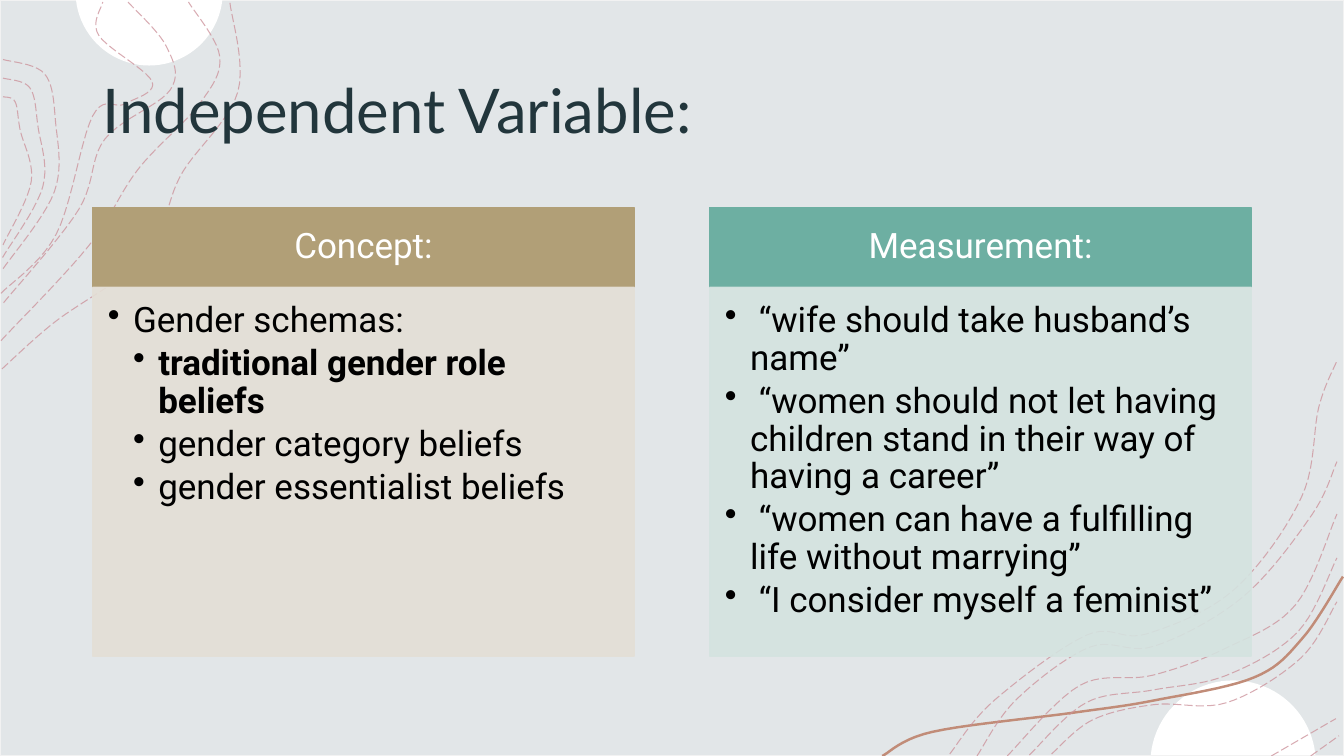
import math

from lxml import etree
from pptx import Presentation
from pptx import util as u
from pptx.dml.color import RGBColor
from pptx.enum import dml, shapes, text
from pptx.oxml.ns import qn

WIDTH, HEIGHT = 13.33, 7.5
PANEL_WIDTH, PANEL_STEP = 5.37, 6.12

# Single contour lines, as the points they pass through
CONTOURS = [
    [(0.02, 3.66), (0.55, 3.19), (1.27, 2.69), (1.6, 2.23), (1.81, 1.71),
     (2.36, 0.91), (2.28, 0.02)],
    [(0.01, 3.38), (0.88, 2.44), (1.37, 1.68), (1.98, 1.03), (2.18, 0.56), (1.87, 0.02)],
    [(1.27, 0.02), (1.65, 0.46), (1.69, 0.89), (1.04, 1.38), (0.78, 2.08), (0.03, 3.01)],
    [(0.01, 2.91), (0.56, 2.32), (0.92, 1.15), (1.24, 1.03), (1.51, 0.81),
     (0.98, 0.35), (1.02, 0.02)],
    [(9.42, 7.48), (9.86, 6.95), (10.78, 6.3), (11.37, 6.29), (12.24, 5.85),
     (12.91, 4.93), (13.08, 4.04), (13.26, 3.58)],
    [(9.69, 7.5), (10.08, 6.94), (10.81, 6.42), (11.45, 6.41), (12.33, 5.92),
     (13.01, 5.11), (13.26, 4.58)],
    [(12.61, 7.5), (13.25, 7.13)],
    [(13, 7.5), (13.28, 7.3)],
]
# Outer and inner line of each family of three
FAMILIES = [
    ([(0.03, 0.59), (0.44, 0.73), (0.55, 1.2), (0.54, 1.9), (0.02, 2.68)],
     [(0.03, 0.96), (0.15, 1.01), (0.2, 1.29), (0.31, 1.8), (0.03, 2.43)]),
    ([(9.99, 7.5), (10.71, 6.8), (11.43, 6.7), (12.16, 6.43), (12.85, 6), (13.26, 5.1)],
     [(10.43, 7.48), (10.84, 7.14), (11.45, 6.99), (12.17, 6.97), (12.9, 6.53),
      (13.26, 5.97)]),
]
RIBBON = [(8.75, 7.5), (9.25, 7.26), (10.65, 7.07), (11.44, 6.95), (12.44, 6.72),
          (12.92, 6.33), (13.32, 5.72)]

# Heading, head colour, body colour, items as (level, wording, bold)
PANELS = [
    ("Concept:", "B19F77", "E4DFD6", [
        (1, "Gender schemas:", False),
        (2, "traditional gender role beliefs", True),
        (2, "gender category beliefs", False),
        (2, "gender essentialist beliefs", False)]),
    ("Measurement:", "6DAFA2", "D4E3E0", [
        (1, " “wife should take husband’s name”", False),
        (1, " “women should not let having children stand in their way of having a career”",
         False),
        (1, " “women can have a fulfilling life without marrying”", False),
        (1, " “I consider myself a feminist”", False)]),
]


def rgb(value):
    return RGBColor.from_string(value)


def blend(outer, inner, share):
    return [tuple(a + (b - a) * share for a, b in zip(p, q)) for p, q in zip(outer, inner)]


def smooth(points, steps=10):
    """Catmull-Rom curve through the points."""
    ends = [points[0], *points, points[-1]]
    curve = [points[0]]
    for a, b, c, d in zip(ends, ends[1:], ends[2:], ends[3:]):
        for step in range(1, steps + 1):
            t = step / steps
            curve.append(tuple(
                q + t / 2 * (r - p + t * (2 * p - 5 * q + 4 * r - s + t * (3 * (q - r) + s - p)))
                for p, q, r, s in zip(a, b, c, d)))
    return curve


def arc(x, y, radius, start, end, steps=40):
    angles = [start + (end - start) * i / steps for i in range(steps + 1)]
    return [(x + radius * math.cos(a), y + radius * math.sin(a)) for a in angles]


def set_opacity(shape, percent):
    for color in shape._element.spPr.iter(qn("a:srgbClr")):
        etree.SubElement(color, qn("a:alpha"), val=str(percent * 1000))


def write(frame, wording, *, font="Roboto", size=25, color="000000", bold=False,
          align=text.PP_ALIGN.LEFT, level=0, after=0, first=True):
    para = frame.paragraphs[0] if first else frame.add_paragraph()
    para.alignment, para.line_spacing, para.space_after = align, 0.9, u.Pt(after)
    if level:
        props = para._p.get_or_add_pPr()
        props.set("marL", str(u.Inches(0.25 * level)))
        props.set("indent", str(u.Inches(-0.25)))
        etree.SubElement(props, qn("a:buChar"), char="•")
    span = para.add_run()
    span.text = wording
    span.font.name, span.font.size, span.font.bold = font, u.Pt(size), bold
    span.font.color.rgb = rgb(color)


class Painter:
    def __init__(self, page):
        self.page = page

    def finish(self, shape, fill=None, line=None, width=1):
        shape.shadow.inherit = False
        for paint, color in ((shape.fill, fill), (shape.line.fill, line)):
            if color:
                paint.solid()
                paint.fore_color.rgb = rgb(color)
            else:
                paint.background()
        if line:
            shape.line.width = u.Pt(width)
        return shape

    def rect(self, left, top, width, height, fill, line):
        box = self.page.shapes.add_shape(
            shapes.MSO_SHAPE.RECTANGLE, *map(u.Inches, (left, top, width, height)))
        return self.finish(box, fill, line)

    def outline(self, points, close=False, **paint):
        start, *rest = [(u.Inches(x), u.Inches(y)) for x, y in points]
        builder = self.page.shapes.build_freeform(*start, scale=1.0)
        builder.add_line_segments(rest, close=close)
        return self.finish(builder.convert_to_shape(), **paint)

    def contour(self, points):
        curve = self.outline(smooth(points), line="CC9099", width=0.75)
        curve.line.dash_style = dml.MSO_LINE.LONG_DASH
        set_opacity(curve, 75)

    def frame(self, shape, anchor, insets):
        frame = shape.text_frame
        frame.word_wrap, frame.vertical_anchor = True, anchor
        (frame.margin_left, frame.margin_top,
         frame.margin_right, frame.margin_bottom) = map(u.Inches, insets)
        return frame

    def title(self, wording):
        box = self.page.shapes.add_textbox(*map(u.Inches, (0.92, 0.4, 11.5, 1.45)))
        frame = self.frame(box, text.MSO_ANCHOR.MIDDLE, (0.1, 0.05, 0.1, 0.05))
        write(frame, wording, font="Lato", size=44, color="22363C")

    def panel(self, left, heading, head_color, body_color, items):
        head = self.rect(left, 2.06, PANEL_WIDTH, 0.79, head_color, head_color)
        frame = self.frame(head, text.MSO_ANCHOR.MIDDLE, (0.19, 0.11, 0.19, 0.11))
        write(frame, heading, color="FFFFFF", align=text.PP_ALIGN.CENTER)
        body = self.rect(left, 2.85, PANEL_WIDTH, 3.66, body_color, body_color)
        set_opacity(body, 90)
        frame = self.frame(body, text.MSO_ANCHOR.TOP, (0.15, 0.15, 0.19, 0.22))
        for i, (level, wording, bold) in enumerate(items):
            write(frame, wording, bold=bold, level=level, after=3.75, first=i == 0)


def main():
    deck = Presentation()
    deck.slide_width, deck.slide_height = u.Inches(WIDTH), u.Inches(HEIGHT)
    painter = Painter(deck.slides.add_slide(deck.slide_layouts[6]))

    # Backdrop with cut-off discs and ribbon
    painter.rect(0, 0, WIDTH, HEIGHT, "E2E6E8", "F2F2F2")
    painter.outline(arc(1.48, -0.08, 0.73, 0.11, math.pi - 0.11), close=True, fill="FFFFFF")
    painter.outline(arc(12.23, 7.57, 0.82, math.pi + 0.1, 2 * math.pi - 0.1),
                    close=True, fill="FFFFFF")
    painter.outline(smooth(RIBBON), line="C18C78", width=1.75)

    # Dashed contour lines
    for points in CONTOURS:
        painter.contour(points)
    for outer, inner in FAMILIES:
        for share in (0, 0.5, 1):
            painter.contour(blend(outer, inner, share))

    # Title and the two panels
    painter.title("Independent Variable:")
    for i, panel in enumerate(PANELS):
        painter.panel(0.92 + PANEL_STEP * i, *panel)

    deck.save("out.pptx")


if __name__ == "__main__":
    main()
